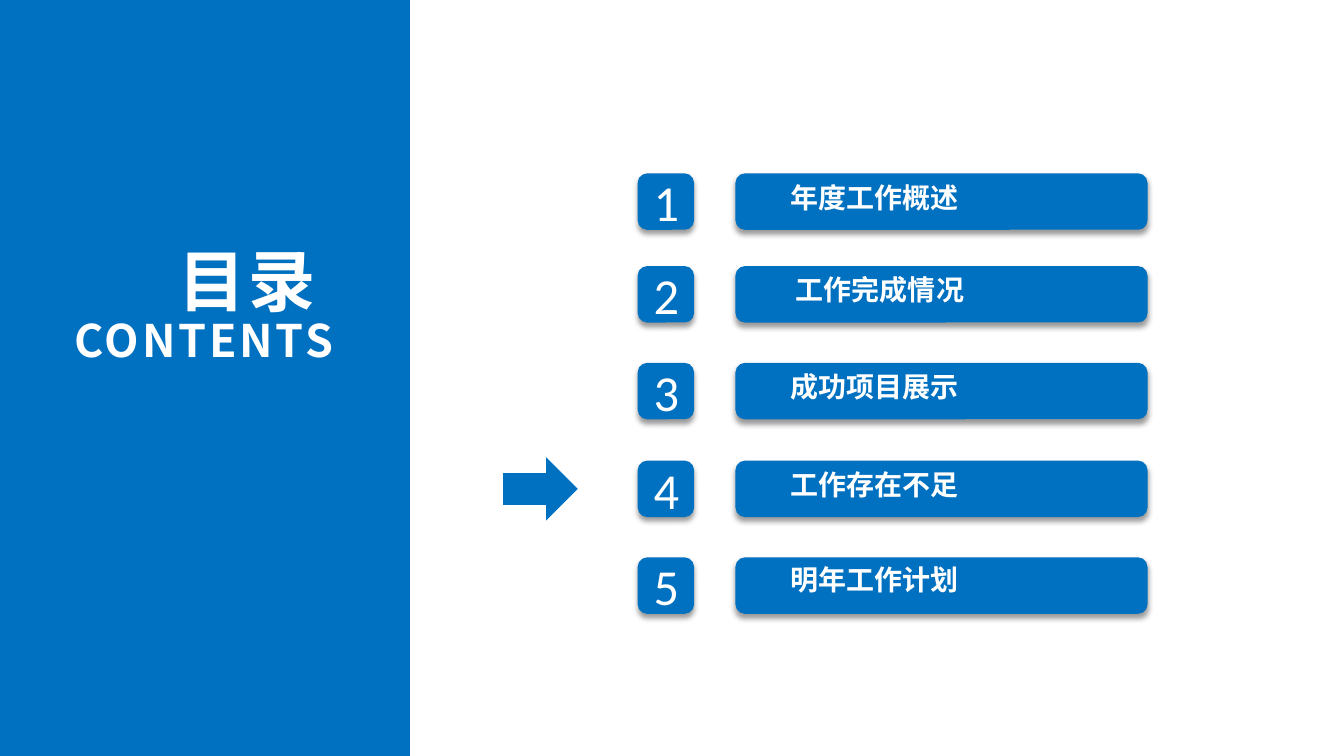
import pptx
import pptx.util
import pptx.dml.color
import pptx.enum.shapes
import pptx.enum.text
import pptx.oxml
import pptx.oxml.ns

Inches = pptx.util.Inches
Shapes = pptx.enum.shapes.MSO_SHAPE
Align = pptx.enum.text.PP_ALIGN
Anchor = pptx.enum.text.MSO_ANCHOR

COLORS = {"blue": "0070C0", "white": "FFFFFF", "shadow": "000000"}
CHINESE_FONT = "Noto Sans CJK SC"
SHADOW_XML = (
    f'<a:effectLst {pptx.oxml.ns.nsdecls("a")}>'
    '<a:outerShdw blurRad="50800" dist="38100" dir="5400000" algn="t" rotWithShape="0">'
    f'<a:srgbClr val="{COLORS["shadow"]}"><a:alpha val="40000"/></a:srgbClr>'
    '</a:outerShdw></a:effectLst>'
)


def add_blue_shape(shapes, kind, left, top, width, height, shadow=False):
    shape = shapes.add_shape(kind, Inches(left), Inches(top), Inches(width), Inches(height))
    shape.fill.solid()
    shape.fill.fore_color.rgb = pptx.dml.color.RGBColor.from_string(COLORS["blue"])
    shape.line.fill.background()
    shape.shadow.inherit = False
    if shadow:
        properties = shape.element.spPr
        properties.remove(properties.find(pptx.oxml.ns.qn("a:effectLst")))
        properties.append(pptx.oxml.parse_xml(SHADOW_XML))
    return shape


def write_text(shape, lines, font_name, bold, alignment, anchor, line_spacing=1.0, tracking=0):
    frame = shape.text_frame
    frame_format = {
        "word_wrap": True, "auto_size": pptx.enum.text.MSO_AUTO_SIZE.NONE,
        "vertical_anchor": anchor,
        "margin_left": Inches(0.13), "margin_right": Inches(0.13),
        "margin_top": Inches(0.07), "margin_bottom": Inches(0.07),
    }
    for name, value in frame_format.items():
        setattr(frame, name, value)
    for index, (text, size) in enumerate(lines):
        paragraph = frame.add_paragraph() if index else frame.paragraphs[0]
        paragraph.alignment = alignment
        paragraph.line_spacing = line_spacing
        run = paragraph.add_run()
        run.text = text
        font_format = {"name": font_name, "size": pptx.util.Pt(size), "bold": bold}
        for name, value in font_format.items():
            setattr(run.font, name, value)
        run.font.color.rgb = pptx.dml.color.RGBColor.from_string(COLORS["white"])
        properties = run.font._element
        east_asian = pptx.oxml.parse_xml(
            f'<a:ea {pptx.oxml.ns.nsdecls("a")} typeface="{font_name}"/>')
        properties.find(pptx.oxml.ns.qn("a:latin")).addnext(east_asian)
        if tracking:
            properties.set("spc", str(tracking * 100))


presentation = pptx.Presentation()
presentation.slide_width = Inches(13.34)
presentation.slide_height = Inches(7.5)
slide = presentation.slides.add_slide(presentation.slide_layouts[5])

# Left panel, behind the title
panel = add_blue_shape(slide.shapes, Shapes.RECTANGLE, 0, 0, 4.07, 7.5)
title = slide.shapes.title
title.element.addprevious(panel.element)

# Title
title_place = {"left": 0.37, "top": 2.43, "width": 3.07, "height": 1.48}
for name, value in title_place.items():
    setattr(title, name, Inches(value))
write_text(title, [("目录 ", 48), ("CONTENTS", 32)], CHINESE_FONT, True,
           Align.RIGHT, Anchor.TOP, line_spacing=0.85, tracking=2)

# Contents: bar top, label left, label top, wording
entries = [
    (1.72, 7.72, 1.77, "年度工作概述"),
    (2.64, 7.77, 2.68, "工作完成情况"),
    (3.60, 7.72, 3.65, "成功项目展示"),
    (4.57, 7.72, 4.62, "工作存在不足"),
    (5.53, 7.72, 5.56, "明年工作计划"),
]
for number, (top, label_left, label_top, wording) in enumerate(entries, start=1):
    badge = add_blue_shape(slide.shapes, Shapes.ROUNDED_RECTANGLE,
                           6.33, top, 0.56, 0.56, shadow=True)
    write_text(badge, [(str(number), 36)], "Calibri", False, Align.CENTER, Anchor.MIDDLE)

    entry = slide.shapes.add_group_shape()
    add_blue_shape(entry.shapes, Shapes.ROUNDED_RECTANGLE, 7.3, top, 4.09, 0.56, shadow=True)
    label = entry.shapes.add_textbox(Inches(label_left), Inches(label_top),
                                     Inches(2.9), Inches(0.47))
    write_text(label, [(wording, 20)], CHINESE_FONT, True,
               Align.LEFT, Anchor.TOP, line_spacing=0.85)

# Arrow pointing at the current section
arrow = add_blue_shape(slide.shapes, Shapes.DOWN_ARROW, 5.05, 4.48, 0.63, 0.74)
arrow.rotation = 270

presentation.save("out.pptx")
